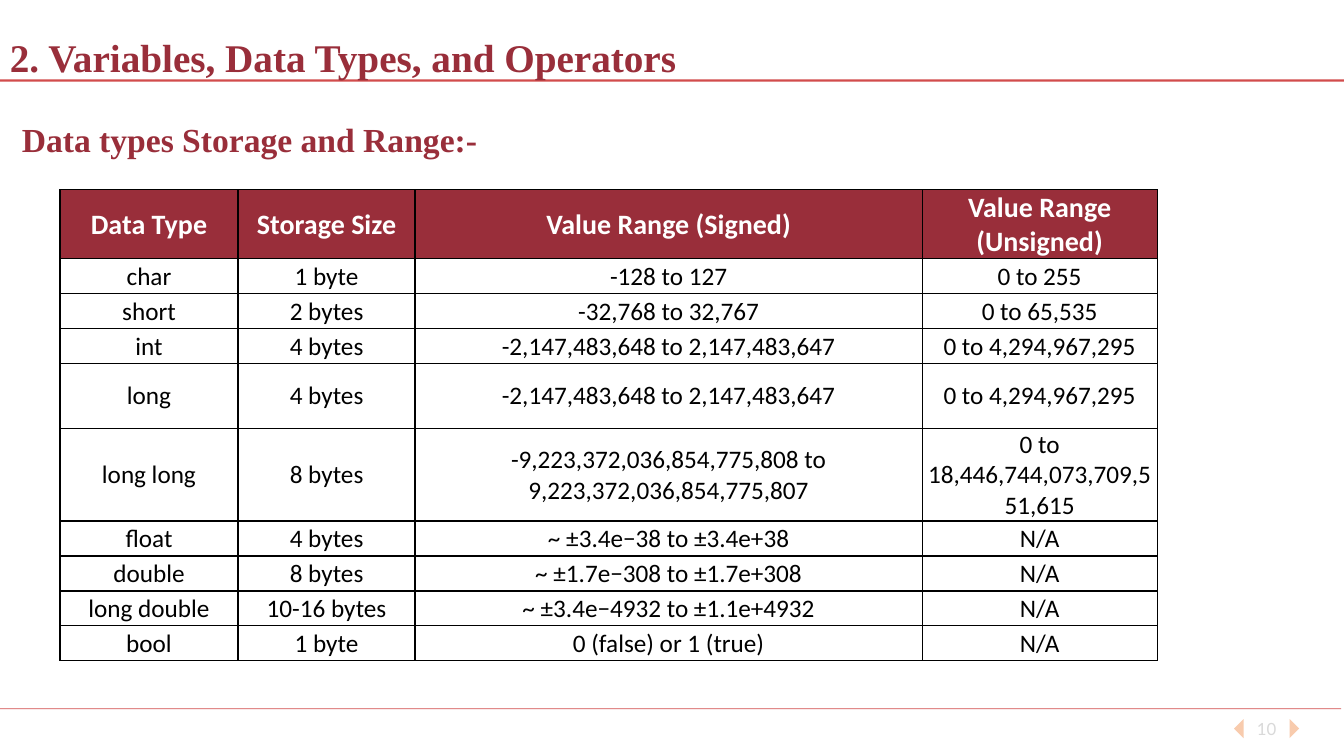
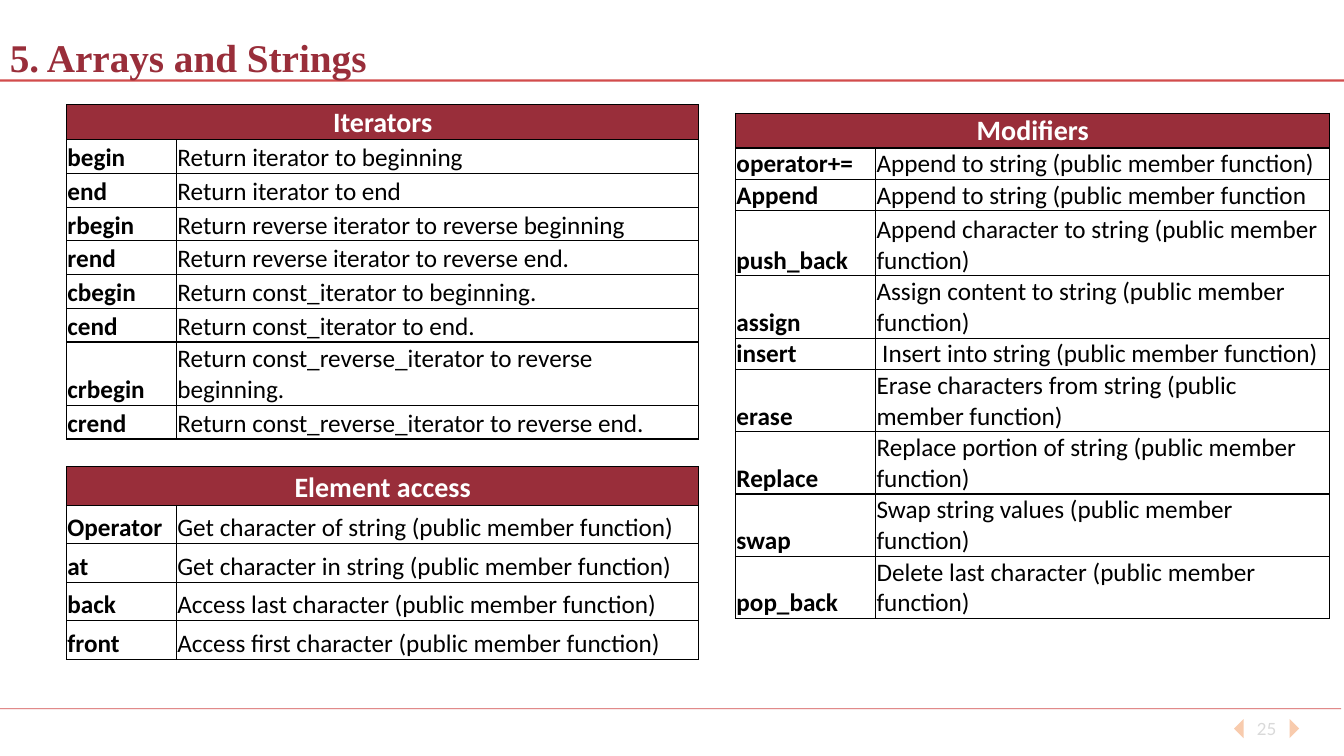
from dataclasses import dataclass

from lxml import etree
from pptx import Presentation
from pptx import util as u
from pptx.dml.color import RGBColor
from pptx.enum import shapes, text
from pptx.oxml import ns

Cm, Pt = u.Cm, u.Pt
ALIGN, ANCHOR = text.PP_ALIGN, text.MSO_ANCHOR


@dataclass(frozen=True)
class Theme:
    accent: str = "992E3A"
    rule: str = "C00000"
    arrow: str = "F8CBAD"
    number: str = "D9D9D9"
    ink: str = "000000"
    paper: str = "FFFFFF"
    title_font: str = "Times New Roman"
    table_font: str = "Calibri"
    number_font: str = "Lato"
    title_size: int = 28
    subtitle_size: int = 24
    header_size: int = 20
    body_size: int = 18
    number_size: int = 12


T = Theme()
WIDTH, HEIGHT = 33.87, 19.05
TITLE = {"name": T.title_font, "size": Pt(T.title_size), "bold": True, "color": T.accent}
SUBTITLE = {**TITLE, "size": Pt(T.subtitle_size)}
NUMBER = {"name": T.number_font, "size": Pt(T.number_size), "color": T.number}
HEADER = {"name": T.table_font, "size": Pt(T.header_size), "bold": True, "color": T.paper}
BODY = {"name": T.table_font, "size": Pt(T.body_size), "bold": False, "color": T.ink}
TERM = {**BODY, "bold": True}
MARGINS = {"margin_left": Cm(0.02), "margin_right": Cm(0.02),
           "margin_top": Cm(0.02), "margin_bottom": 0}

TYPE_ROWS = [
    ("Data Type", "Storage Size", "Value Range (Signed)", "Value Range (Unsigned)"),
    ("char", "1 byte", "-128 to 127", "0 to 255"),
    ("short", "2 bytes", "-32,768 to 32,767", "0 to 65,535"),
    ("int", "4 bytes", "-2,147,483,648 to 2,147,483,647", "0 to 4,294,967,295"),
    ("long", "4 bytes", "-2,147,483,648 to 2,147,483,647", "0 to 4,294,967,295"),
    ("long long", "8 bytes", "-9,223,372,036,854,775,808 to 9,223,372,036,854,775,807",
     "0 to 18,446,744,073,709,551,615"),
    ("float", "4 bytes", "~ ±3.4e−38 to ±3.4e+38", "N/A"),
    ("double", "8 bytes", "~ ±1.7e−308 to ±1.7e+308", "N/A"),
    ("long double", "10-16 bytes", "~ ±3.4e−4932 to ±1.1e+4932", "N/A"),
    ("bool", "1 byte", "0 (false) or 1 (true)", "N/A"),
]
ITERATORS = [
    ("begin", "Return iterator to beginning"),
    ("end", "Return iterator to end"),
    ("rbegin", "Return reverse iterator to reverse beginning"),
    ("rend", "Return reverse iterator to reverse end."),
    ("cbegin", "Return const_iterator to beginning."),
    ("cend", "Return const_iterator to end."),
    ("crbegin", "Return const_reverse_iterator to reverse beginning."),
    ("crend", "Return const_reverse_iterator to reverse end."),
]
ELEMENT_ACCESS = [
    ("Operator", "Get character of string (public member function)"),
    ("at", "Get character in string (public member function)"),
    ("back", "Access last character (public member function)"),
    ("front", "Access first character (public member function)"),
]
MODIFIERS = [
    ("operator+=", "Append to string (public member function)"),
    ("Append", "Append to string (public member function"),
    ("push_back", "Append character to string (public member function)"),
    ("assign", "Assign content to string (public member function)"),
    ("insert", " Insert into string (public member function)"),
    ("erase", "Erase characters from string (public member function)"),
    ("Replace", "Replace portion of string (public member function)"),
    ("swap", "Swap string values (public member function)"),
    ("pop_back", "Delete last character (public member function)"),
]


def set_all(obj, values):
    for name, value in values.items():
        setattr(obj, name, value)


def write(tf, words, style, align=ALIGN.LEFT, spacing=None):
    p = tf.paragraphs[0]
    set_all(p, {"alignment": align, "line_spacing": spacing})
    r = p.add_run()
    r.text = words
    set_all(r.font, {k: v for k, v in style.items() if k != "color"})
    r.font.color.rgb = RGBColor.from_string(style["color"])


def add_text(s, box, words, style, anchor=ANCHOR.MIDDLE, **layout):
    tf = s.shapes.add_textbox(*map(Cm, box)).text_frame
    set_all(tf, {"word_wrap": True, "vertical_anchor": anchor})
    write(tf, words, style, **layout)
    return tf


def add_rule(s, y, right, weight):
    sp = s.shapes.add_connector(shapes.MSO_CONNECTOR.STRAIGHT, 0, Cm(y), Cm(right), Cm(y))
    sp.line.width = Pt(weight)
    sp.line.color.rgb = RGBColor.from_string(T.rule)
    color = sp.line._get_or_add_ln().find(".//" + ns.qn("a:srgbClr"))
    etree.SubElement(color, ns.qn("a:alpha"), val="70000")
    etree.SubElement(sp._element.spPr, ns.qn("a:effectLst"))


def add_arrow(s, center, y, side):
    base, tip, half = center + side * 0.58, center + side * 0.82, 0.24
    fb = s.shapes.build_freeform(Cm(base), Cm(y - half))
    fb.add_line_segments([(Cm(tip), Cm(y)), (Cm(base), Cm(y + half))])
    sp = fb.convert_to_shape()
    sp.shadow.inherit = False
    sp.fill.solid()
    sp.fill.fore_color.rgb = RGBColor.from_string(T.arrow)
    sp.line.fill.background()


def add_borders(cell):
    pr = cell._tc.get_or_add_tcPr()
    for side in ("lnL", "lnR", "lnT", "lnB"):
        ln = etree.SubElement(pr, ns.qn(f"a:{side}"), w=str(Pt(1)))
        fill = etree.SubElement(ln, ns.qn("a:solidFill"))
        etree.SubElement(fill, ns.qn("a:srgbClr"), val=T.ink)


def add_grid(s, left, top, widths, heights, anchor):
    frame = s.shapes.add_table(len(heights), len(widths), Cm(left), Cm(top),
                               Cm(sum(widths)), Cm(sum(heights)))
    table = frame.table
    set_all(table, {"first_row": False, "horz_banding": False})
    for column, width in zip(table.columns, widths):
        column.width = Cm(width)
    for i, (row, height) in enumerate(zip(table.rows, heights)):
        row.height = Cm(height)
        for cell in row.cells:
            set_all(cell, {**MARGINS, "vertical_anchor": anchor})
            add_borders(cell)
            if i == 0:
                cell.fill.solid()
                cell.fill.fore_color.rgb = RGBColor.from_string(T.accent)
            else:
                cell.fill.background()
    return table


def add_data_table(s, left, top, widths, heights, rows):
    table = add_grid(s, left, top, widths, heights, ANCHOR.MIDDLE)
    for i, row in enumerate(rows):
        for j, words in enumerate(row):
            write(table.cell(i, j).text_frame, words, BODY if i else HEADER, ALIGN.CENTER)


def add_glossary(s, left, top, widths, heights, heading, rows):
    table = add_grid(s, left, top, widths, heights, ANCHOR.BOTTOM)
    table.cell(0, 0).merge(table.cell(0, 1))
    write(table.cell(0, 0).text_frame, heading, HEADER, ALIGN.CENTER)
    for i, (term, meaning) in enumerate(rows, 1):
        write(table.cell(i, 0).text_frame, term, TERM)
        write(table.cell(i, 1).text_frame, meaning, BODY)


def add_slide(prs, title, number):
    s = prs.slides.add_slide(prs.slide_layouts[6])
    center, middle = 31.92, 18.36
    add_text(s, (center - 0.71, 17.86, 1.42, 1.02), number, NUMBER, align=ALIGN.CENTER)
    for side in (-1, 1):
        add_arrow(s, center, middle, side)
    add_rule(s, 17.86, 33.8, 0.5)
    add_rule(s, 2.03, WIDTH, 1.5)
    tf = add_text(s, (0, 0.71, 31.47, 1.45), title, TITLE, ANCHOR.TOP)
    tf.auto_size = text.MSO_AUTO_SIZE.SHAPE_TO_FIT_TEXT
    return s


def main():
    prs = Presentation()
    set_all(prs, {"slide_width": Cm(WIDTH), "slide_height": Cm(HEIGHT)})

    s = add_slide(prs, "2. Variables, Data Types, and Operators", "10")
    add_text(s, (0.3, 2.84, 32.59, 1.47), "Data types Storage and Range:-", SUBTITLE, spacing=0.9)
    add_data_table(s, 1.51, 4.78, (4.49, 4.46, 12.78, 5.92),
                   [1.74] + [0.88] * 3 + [1.63, 2.34] + [0.88] * 4, TYPE_ROWS)

    s = add_slide(prs, "5. Arrays and Strings", "25")
    left, widths = 1.68, (2.77, 13.16)
    add_glossary(s, left, 2.64, widths, [0.88] + [0.85] * 6 + [1.59, 0.85],
                 "Iterators", ITERATORS)
    add_glossary(s, left, 11.76, widths, [0.97] * 5, "Element access", ELEMENT_ACCESS)
    one, two = 0.79, 1.57
    add_glossary(s, 18.54, 2.85, (3.53, 11.44),
                 [0.88, one, one, 1.64, two, one] + [two] * 4, "Modifiers", MODIFIERS)

    prs.save("out.pptx")


if __name__ == "__main__":
    main()
